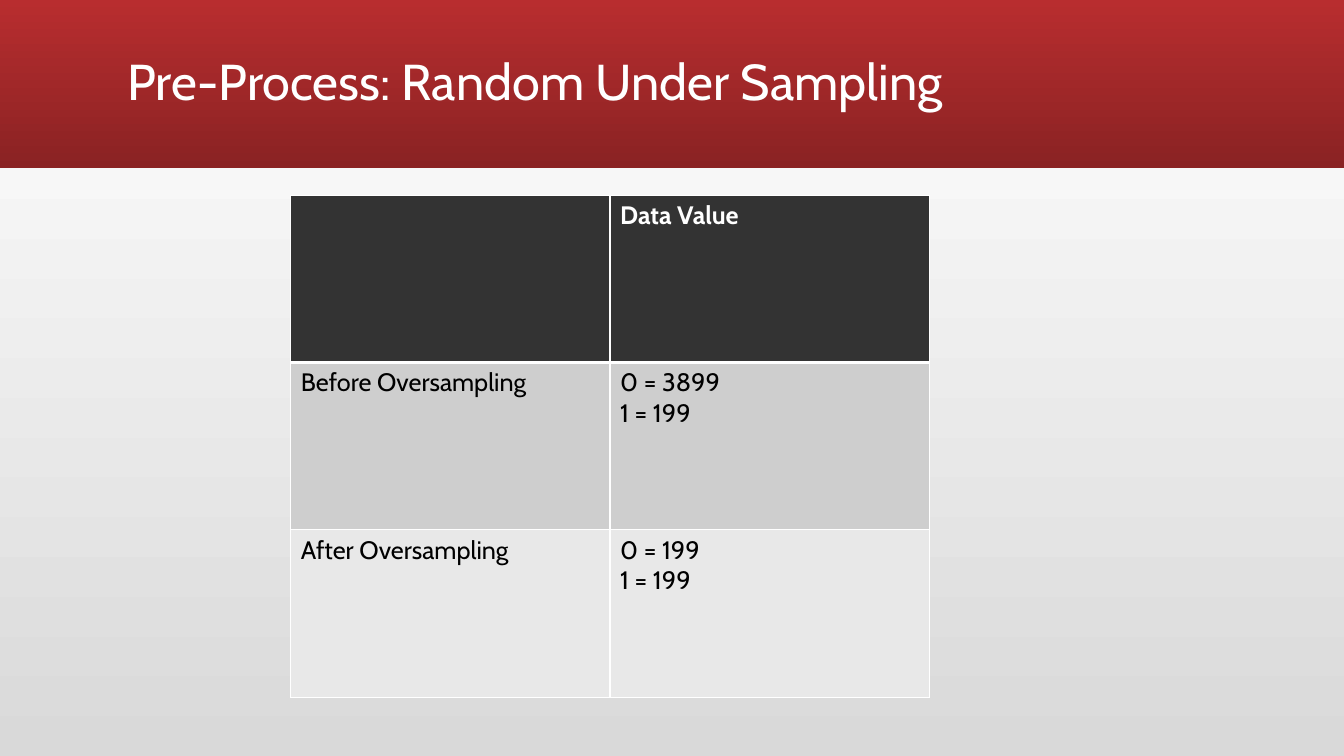
from dataclasses import dataclass

from lxml.etree import SubElement
from pptx import Presentation
from pptx.dml.color import RGBColor as RGB
from pptx.enum.shapes import MSO_SHAPE as SHAPE
from pptx.enum.text import MSO_ANCHOR as ANCHOR
from pptx.oxml import parse_xml
from pptx.oxml.ns import nsdecls, qn
from pptx.util import Pt

PX = 9525  # EMU per px, 96 px to the inch


@dataclass(frozen=True)
class Theme:
    font: str = "Cabin"
    title_size: int = 36
    table_size: int = 18
    white: str = "FFFFFF"
    black: str = "000000"
    backdrop: tuple = ("D9D9D9", "FFFFFF")
    band: tuple = ("B82D2F", "8A2223")
    row_fills: tuple = ("333333", "CECECE", "E8E8E8")
    border: int = 1
    header_rule: int = 3


THEME = Theme()
ROWS = [
    ([], ["Data Value"]),
    (["Before Oversampling"], ["0 = 3899", "1 = 199"]),
    (["After Oversampling"], ["0 = 199", "1 = 199"]),
]


def emu(box):
    return [v * PX for v in box]


def fill_gradient(fill, colors, angle):
    fill.gradient()
    fill.gradient_angle = angle
    for stop, color in zip(fill.gradient_stops, colors):
        stop.color.rgb = RGB.from_string(color)


def add_run(p, text, size, color, bold=False):
    r = p.add_run()
    r.text = text
    r.font.name = THEME.font
    r.font.size = Pt(size)
    r.font.bold = bold
    r.font.color.rgb = RGB.from_string(color)


def set_borders(cell, bottom):
    """Draw the four cell borders; they precede the fill in tcPr."""
    tc_pr = cell._tc.get_or_add_tcPr()
    widths = {"lnL": THEME.border, "lnR": THEME.border, "lnT": THEME.border, "lnB": bottom}
    for i, (side, width) in enumerate(widths.items()):
        ln = parse_xml(f'<a:{side} {nsdecls("a")} w="{Pt(width)}"/>')
        solid = SubElement(ln, qn("a:solidFill"))
        SubElement(solid, qn("a:srgbClr")).set("val", THEME.white)
        tc_pr.insert(i, ln)


def add_header(slide, box, text):
    x, y, w, h = box
    # Red band
    sp = slide.shapes.add_shape(SHAPE.RECTANGLE, *emu(box))
    sp.shadow.inherit = False
    sp.line.fill.background()
    fill_gradient(sp.fill, THEME.band, 270)
    # Title
    tf = slide.shapes.add_textbox(*emu((x + 112, y + 11, w - 224, h - 21))).text_frame
    tf.word_wrap = True
    tf.vertical_anchor = ANCHOR.MIDDLE
    p = tf.paragraphs[0]
    p.line_spacing = 0.9
    add_run(p, text, THEME.title_size, THEME.white)


def add_data_table(slide, box, rows):
    table = slide.shapes.add_table(len(rows), len(rows[0]), *emu(box)).table
    table.horz_banding = False
    for i, row in enumerate(rows):
        header = i == 0
        color = THEME.white if header else THEME.black
        for j, lines in enumerate(row):
            cell = table.cell(i, j)
            cell.fill.solid()
            cell.fill.fore_color.rgb = RGB.from_string(THEME.row_fills[i])
            set_borders(cell, THEME.header_rule if header else THEME.border)
            tf = cell.text_frame
            for k, line in enumerate(lines):
                p = tf.add_paragraph() if k else tf.paragraphs[0]
                add_run(p, line, THEME.table_size, color, header)


def main():
    prs = Presentation()
    prs.slide_width, prs.slide_height = emu((1280, 720))
    slide = prs.slides.add_slide(prs.slide_layouts[6])
    fill_gradient(slide.background.fill, THEME.backdrop, 90)
    add_header(slide, (0, 0, 1280, 160), "Pre-Process: Random Under Sampling")
    add_data_table(slide, (277, 186, 608, 478), ROWS)
    prs.save("out.pptx")


if __name__ == "__main__":
    main()
